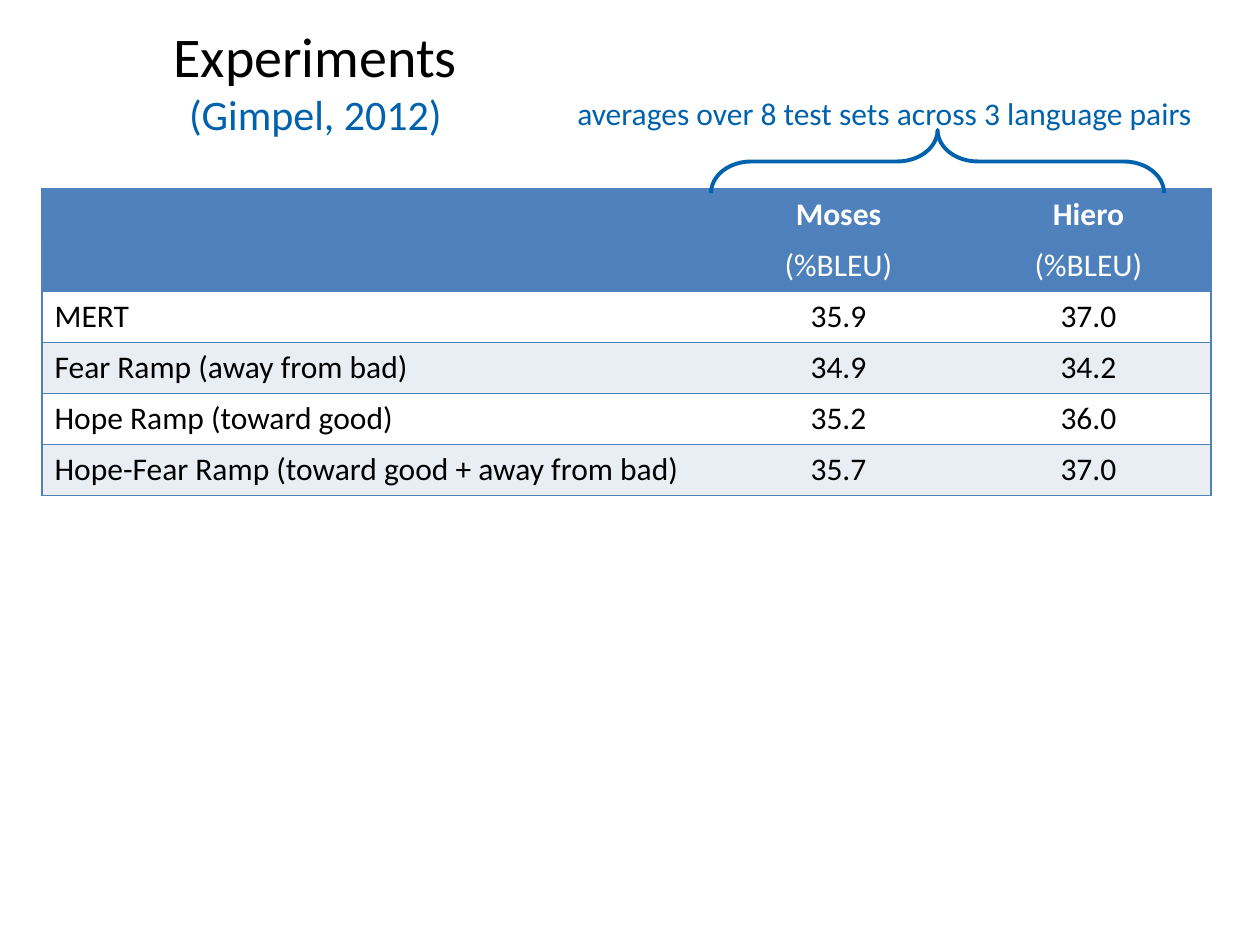
from lxml import etree
from pptx import Presentation, util as u
from pptx.dml.color import RGBColor
from pptx.enum import shapes, text
from pptx.oxml.ns import qn

FONT = "Calibri"
COLORS = {"accent": "0062AC", "border": "4F81BD", "header": "4F81BD",
          "subheader": "4E80BB", "plain": "FFFFFF", "band": "E9EDF4",
          "black": "000000", "white": "FFFFFF"}
TITLE = [("Experiments", 32, "black"), ("(Gimpel, 2012)", 24, "accent")]
NOTE = "averages over 8 test sets across 3 language pairs"
RESULTS = [
    ("", "Moses", "Hiero"),
    ("", "(%BLEU)", "(%BLEU)"),
    ("MERT", "35.9", "37.0"),
    ("Fear Ramp (away from bad)", "34.9", "34.2"),
    ("Hope Ramp (toward good)", "35.2", "36.0"),
    ("Hope-Fear Ramp (toward good + away from bad)", "35.7", "37.0"),
]
ROW_FILLS = ["header", "subheader", "plain", "band", "plain", "band"]
COL_WIDTHS = [669, 255, 245]
ROW_HEIGHT = 51
HEADER_ROWS = 2


def px(n):
    return u.Emu(round(n * 914400 / 126))


def box(*lengths):
    return [px(n) for n in lengths]


def rgb(name):
    return RGBColor.from_string(COLORS[name])


def style(font, size, color, bold=False):
    font.name, font.size, font.bold = FONT, u.Pt(size), bold
    font.color.rgb = rgb(color)


def set_borders(cell, sides):
    """Draw 1 pt lines on the given sides; borders must precede the fill."""
    pr = cell._tc.get_or_add_tcPr()
    for side in "LRTB":
        ln = etree.SubElement(pr, qn(f"a:ln{side}"), w=str(u.Pt(1)))
        if side in sides:
            fill = etree.SubElement(ln, qn("a:solidFill"))
            etree.SubElement(fill, qn("a:srgbClr"), val=COLORS["border"])
        else:
            etree.SubElement(ln, qn("a:noFill"))


def add_title(s):
    title = s.shapes.title
    title.left, title.top, title.width, title.height = box(42, 10, 547, 141)
    tf = title.text_frame
    tf.vertical_anchor = text.MSO_ANCHOR.MIDDLE
    tf.text = "\v".join(line for line, _, _ in TITLE)
    p = tf.paragraphs[0]
    p.alignment = text.PP_ALIGN.CENTER
    for r, (_, size, color) in zip(p.runs, TITLE):
        style(r.font, size, color)


def add_results(s):
    rows, cols = len(RESULTS), len(COL_WIDTHS)
    table = s.shapes.add_table(
        rows, cols, *box(42, 189, sum(COL_WIDTHS), rows * ROW_HEIGHT)).table
    for column, width in zip(table.columns, COL_WIDTHS):
        column.width = px(width)
    for i, row in enumerate(RESULTS):
        table.rows[i].height = px(ROW_HEIGHT)
        for j, value in enumerate(row):
            cell = table.cell(i, j)
            sides = "TB" + ("L" if j == 0 else "") + ("R" if j == cols - 1 else "")
            set_borders(cell, sides)
            cell.fill.solid()
            cell.fill.fore_color.rgb = rgb(ROW_FILLS[i])
            cell.text = value
            p = cell.text_frame.paragraphs[0]
            p.alignment = text.PP_ALIGN.CENTER if j else text.PP_ALIGN.LEFT
            style(p.font, 18, "white" if i < HEADER_ROWS else "black", bold=i == 0)
            for r in p.runs:
                style(r.font, 18, "white" if i < HEADER_ROWS else "black", bold=i == 0)


def add_brace(s):
    brace = s.shapes.add_shape(shapes.MSO_SHAPE.LEFT_BRACE, *box(906, -65, 63, 453))
    brace.rotation = 90
    brace.adjustments[0], brace.adjustments[1] = 0.64, 0.5
    brace.shadow.inherit = False
    brace.fill.background()
    brace.line.color.rgb = rgb("accent")
    brace.line.width = u.Pt(2.25)


def add_note(s):
    tf = s.shapes.add_textbox(*box(559, 88, 651, 51)).text_frame
    tf.word_wrap = False
    tf.auto_size = text.MSO_AUTO_SIZE.SHAPE_TO_FIT_TEXT
    tf.text = NOTE
    p = tf.paragraphs[0]
    p.alignment = text.PP_ALIGN.CENTER
    style(p.runs[0].font, 18, "accent")


def main():
    prs = Presentation()
    prs.slide_width, prs.slide_height = box(1260, 945)
    s = prs.slides.add_slide(prs.slide_layouts[5])
    add_title(s)
    add_results(s)
    add_brace(s)
    add_note(s)
    prs.save("out.pptx")


if __name__ == "__main__":
    main()
